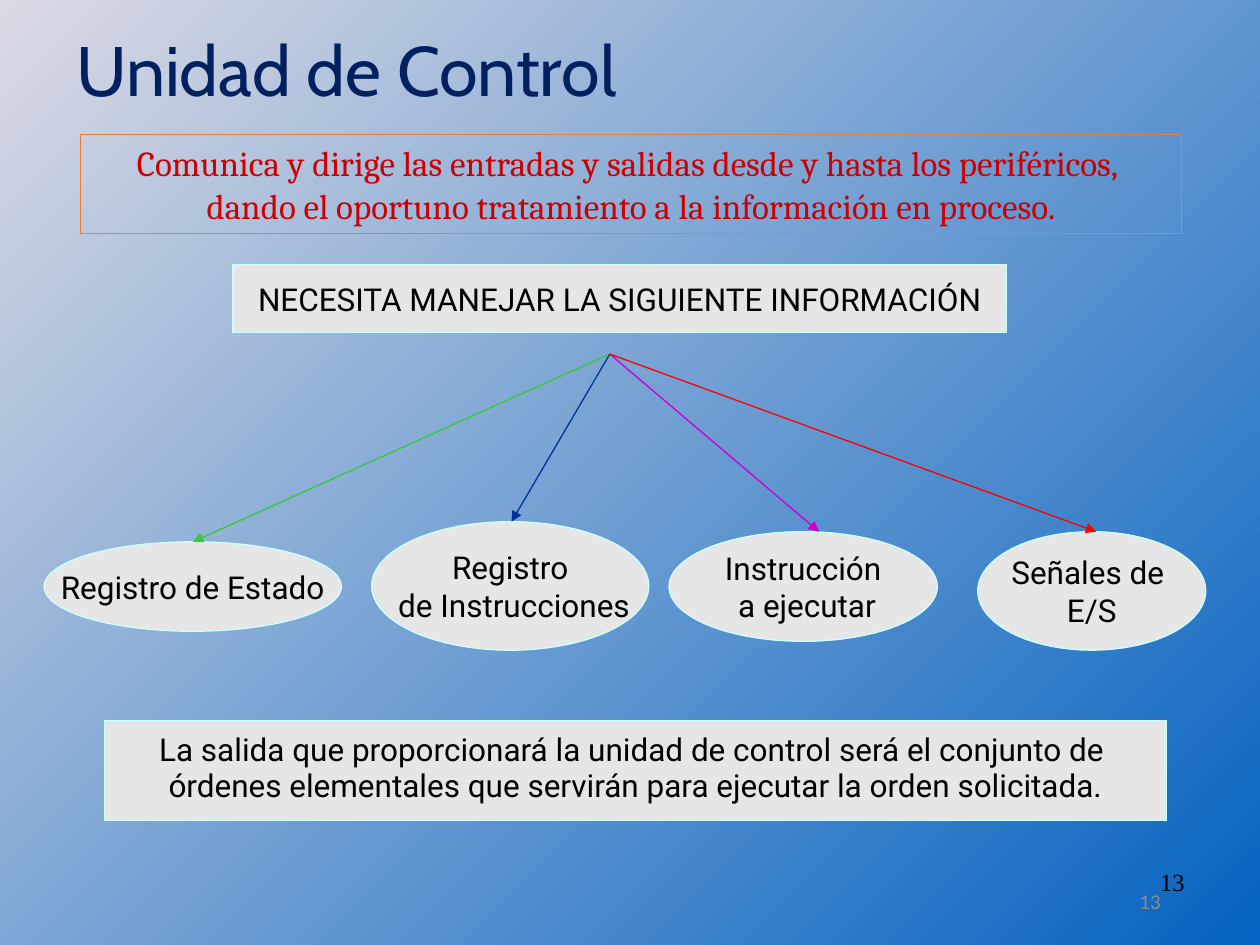
import pptx
import pptx.dml.color
import pptx.enum.shapes
import pptx.enum.text
import pptx.oxml
import pptx.oxml.ns
import pptx.util

COLORS = {
    "sky": "DBDAE4", "deep": "0563C1", "navy": "002060", "black": "000000",
    "gray": "8C8C8C", "panel": "E7E6E6", "ice": "CCFFFF", "crimson": "CC0000",
    "orange": "ED7D31", "green": "33CC33", "blue": "003399",
    "magenta": "CC00CC", "red": "FF0000",
}
COLUMNS, ROWS = 100, 75
ALIGN = pptx.enum.text.PP_ALIGN
ANCHOR = pptx.enum.text.MSO_ANCHOR
SHAPE = pptx.enum.shapes.MSO_SHAPE


class Diagram:
    """Draws styled elements on one slide, placed by grid columns and rows."""

    def __init__(self, deck):
        self.page = deck.slides.add_slide(deck.slide_layouts[6])
        self.column = deck.slide_width / COLUMNS
        self.row = deck.slide_height / ROWS

    def color(self, name):
        return pptx.dml.color.RGBColor.from_string(COLORS[name])

    def place(self, *cells):
        steps = (self.column, self.row) * 2
        return [round(cell * step) for cell, step in zip(cells, steps)]

    def background(self, start, end):
        fill = self.page.background.fill
        fill.gradient()
        fill.gradient_angle = 315
        for stop, name in zip(fill.gradient_stops, (start, end)):
            stop.color.rgb = self.color(name)

    def fill_text(self, box, text, size, font, color, align, anchor=ANCHOR.MIDDLE,
                  wrap=True, spacing=None, gap=0):
        frame = box.text_frame
        frame.text = text
        frame.word_wrap = wrap
        frame.vertical_anchor = anchor
        for index, para in enumerate(frame.paragraphs):
            para.alignment = align
            if spacing:
                para.line_spacing = spacing
            if index and gap:
                para.space_before = pptx.util.Pt(gap)
            for span in para.runs:
                span.font.size = pptx.util.Pt(size)
                span.font.name = font
                span.font.color.rgb = self.color(color)

    def text(self, cells, text, size, font, color, align, **options):
        box = self.page.shapes.add_textbox(*self.place(*cells))
        self.fill_text(box, text, size, font, color, align, **options)

    def panel(self, kind, cells, text, size=18, font="Roboto", color="black",
              fill="panel", line="ice", width=0.75, **options):
        box = self.page.shapes.add_shape(kind, *self.place(*cells))
        box.shadow.inherit = False
        if fill:
            box.fill.solid()
            box.fill.fore_color.rgb = self.color(fill)
        else:
            box.fill.background()
        box.line.color.rgb = self.color(line)
        box.line.width = pptx.util.Pt(width)
        self.fill_text(box, text, size, font, color, ALIGN.CENTER, wrap=False, **options)

    def arrow(self, start, end, color):
        connector = self.page.shapes.add_connector(
            pptx.enum.shapes.MSO_CONNECTOR.STRAIGHT, *self.place(*start, *end))
        connector.line.color.rgb = self.color(color)
        connector.line.width = pptx.util.Pt(0.75)
        namespace = pptx.oxml.ns.nsdecls("a")
        properties = connector.element.spPr
        outline = properties.find(pptx.oxml.ns.qn("a:ln"))
        outline.append(pptx.oxml.parse_xml(f'<a:tailEnd {namespace} type="triangle"/>'))
        properties.append(pptx.oxml.parse_xml(f"<a:effectLst {namespace}/>"))


def main():
    deck = pptx.Presentation()
    deck.slide_width = pptx.util.Inches(10)
    deck.slide_height = pptx.util.Inches(7.5)
    diagram = Diagram(deck)
    diagram.background("sky", "deep")

    diagram.text((5.1, 2.1, 90, 7.6), "Unidad de Control", 40, "Cabin", "navy",
                 ALIGN.LEFT, spacing=0.9)
    diagram.text((70.6, 69.5, 22.5, 4), "13", 12, "Calibri", "gray", ALIGN.RIGHT)
    diagram.text((71.7, 68.3, 23.3, 5.2), "13", 14, "Times New Roman", "black",
                 ALIGN.RIGHT, anchor=ANCHOR.TOP)

    source = (48.4, 28.1)
    branches = [
        ("Registro de Estado", (3.5, 43, 23.6, 7.1), 15.3, "green"),
        ("Registro\n de Instrucciones", (29.5, 41.4, 22, 10.2), 40.6, "blue"),
        ("Instrucción\n a ejecutar", (53.1, 42.2, 21.3, 8.7), 65, "magenta"),
        ("Señales de \nE/S", (77.6, 42.2, 18.1, 9.4), 87, "red"),
    ]
    for label, cells, tip, color in branches:
        diagram.panel(SHAPE.OVAL, cells, label)
        diagram.arrow(source, (tip, cells[1]), color)

    diagram.panel(
        SHAPE.RECTANGLE, (8.3, 57.2, 84.3, 7.9),
        "La salida que proporcionará la unidad de control será el conjunto de \n"
        "órdenes elementales que servirán para ejecutar la orden solicitada.",
        spacing=0.8, gap=3.6)
    diagram.panel(SHAPE.RECTANGLE, (18.5, 21, 61.4, 5.4),
                  "NECESITA MANEJAR LA SIGUIENTE INFORMACIÓN")
    diagram.panel(
        SHAPE.RECTANGLE, (6.4, 10.7, 87.4, 7.8),
        "Comunica y dirige las entradas y salidas desde y hasta los periféricos, \n"
        "dando el oportuno tratamiento a la información en proceso.",
        size=20, font="Cambria", color="crimson", fill=None, line="orange", width=0.5)

    deck.save("out.pptx")


if __name__ == "__main__":
    main()
